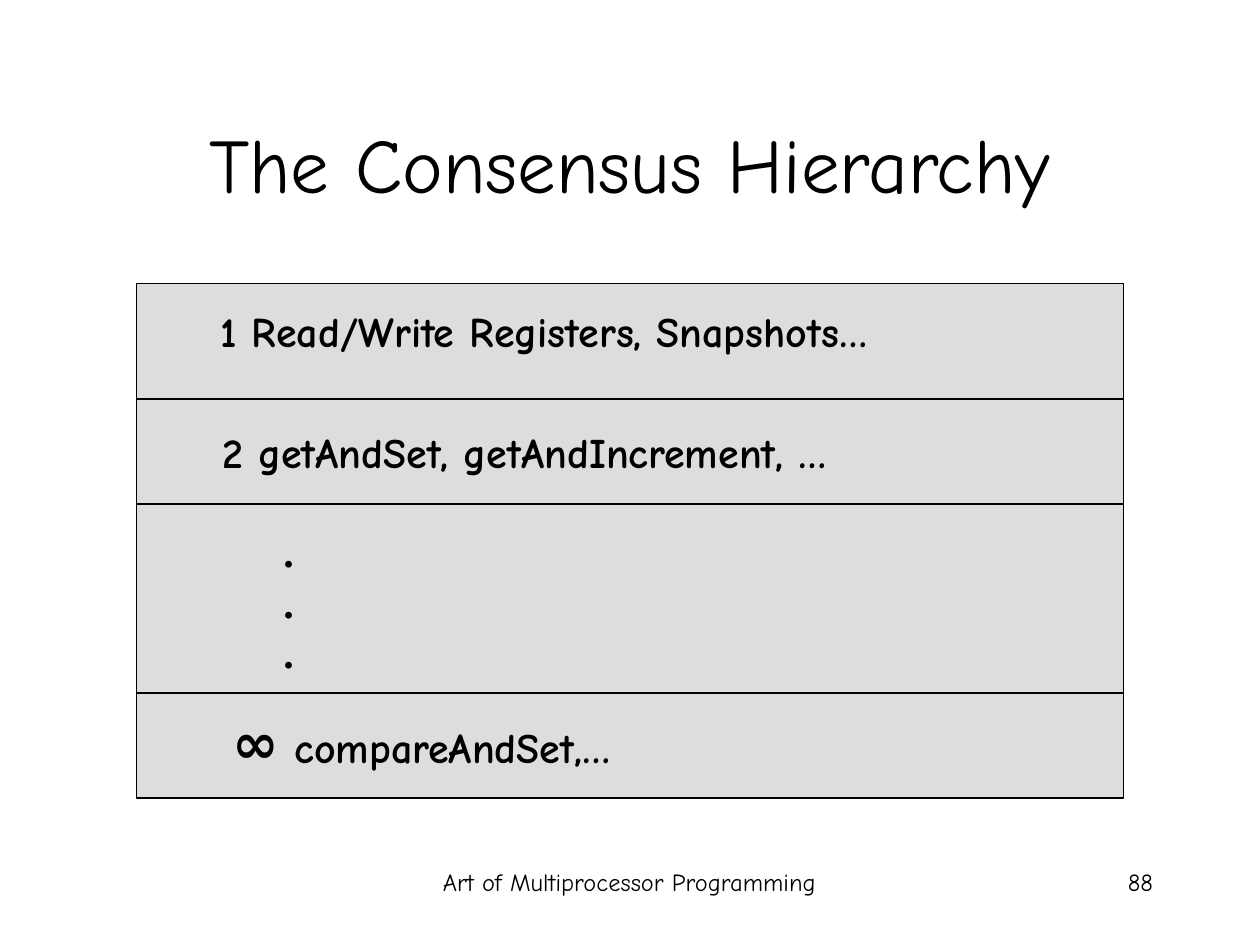
import dataclasses

import pptx
import pptx.dml.color
import pptx.enum.shapes
import pptx.enum.text
import pptx.oxml.ns
import pptx.util

ALIGN = pptx.enum.text.PP_ALIGN
ANCHOR = pptx.enum.text.MSO_ANCHOR


@dataclasses.dataclass(frozen=True)
class Theme:
    ink: str = "000000"
    panel: str = "DDDDDD"
    font: str = "Comic Neue"
    dot_font: str = "Times New Roman"
    title: int = 44
    symbol: int = 32
    body: int = 24
    footer: int = 14
    line: float = 0.75


def rgb(color):
    return pptx.dml.color.RGBColor.from_string(color)


def add_run(p, text, *, size, font, color, bold=False):
    r = p.add_run()
    r.text = text
    r.font.size = pptx.util.Pt(size)
    r.font.name = font
    r.font.bold = bold
    r.font.color.rgb = rgb(color)


class Deck:
    """Draws styled elements on a slide grid of 120 columns by 90 rows."""

    def __init__(self, theme):
        self.theme = theme
        self.prs = pptx.Presentation()
        self.prs.slide_width = pptx.util.Inches(10)
        self.prs.slide_height = pptx.util.Inches(7.5)
        self.s = self.prs.slides.add_slide(self.prs.slide_layouts[6])

    def grid(self, *cells):
        return [pptx.util.Inches(n / 12) for n in cells]

    def outline(self, line):
        line.color.rgb = rgb(self.theme.ink)
        line.width = pptx.util.Pt(self.theme.line)

    def panel(self, col, row, cols, rows):
        sp = self.s.shapes.add_shape(
            pptx.enum.shapes.MSO_SHAPE.RECTANGLE, *self.grid(col, row, cols, rows))
        sp.shadow.inherit = False
        sp.fill.solid()
        sp.fill.fore_color.rgb = rgb(self.theme.panel)
        self.outline(sp.line)

    def divider(self, col, row, cols):
        cn = self.s.shapes.add_connector(
            pptx.enum.shapes.MSO_CONNECTOR.STRAIGHT,
            *self.grid(col, row, col + cols, row))
        self.outline(cn.line)
        effects = pptx.oxml.parse_xml(f'<a:effectLst {pptx.oxml.ns.nsdecls("a")}/>')
        cn._element.spPr.append(effects)

    def text(self, box, paragraphs, *, font=None, bold=False, align=ALIGN.LEFT,
             anchor=ANCHOR.TOP, wrap=True):
        tf = self.s.shapes.add_textbox(*self.grid(*box)).text_frame
        tf.word_wrap = wrap
        tf.vertical_anchor = anchor
        if not wrap:
            tf.auto_size = pptx.enum.text.MSO_AUTO_SIZE.SHAPE_TO_FIT_TEXT
        for i, runs in enumerate(paragraphs):
            p = tf.add_paragraph() if i else tf.paragraphs[0]
            p.alignment = align
            for text, size in runs:
                add_run(p, text, size=size, font=font or self.theme.font,
                        color=self.theme.ink, bold=bold)

    def label(self, box, *paragraphs, font=None):
        self.text(box, paragraphs, font=font, bold=True, wrap=False)


def main():
    theme = Theme()
    deck = Deck(theme)
    deck.text((41, 82, 38, 6), [[("Art of Multiprocessor Programming", theme.footer)]])
    deck.text((86, 82, 25, 6), [[("88", theme.footer)]], align=ALIGN.RIGHT)
    deck.text((9, 8, 102, 15), [[("The Consensus Hierarchy", theme.title)]],
              align=ALIGN.CENTER, anchor=ANCHOR.MIDDLE)

    left, width = 13, 94
    deck.panel(left, 27, width, 49)
    for row in (38, 48, 66):
        deck.divider(left, row, width)

    deck.label((19.8, 28.5, 74.5, 6),
               [("1 Read/Write Registers, Snapshots…", theme.body)])
    deck.label((20, 40, 70, 6), [("2 getAndSet, getAndIncrement, …", theme.body)])
    deck.label((21, 66.8, 43, 7.5),
               [("∞", theme.symbol), (" compareAndSet,…", theme.body)])
    deck.label((25.8, 49.5, 3.4, 15.6), *[[(".", theme.body)]] * 3,
               font=theme.dot_font)
    deck.prs.save("out.pptx")


if __name__ == "__main__":
    main()
